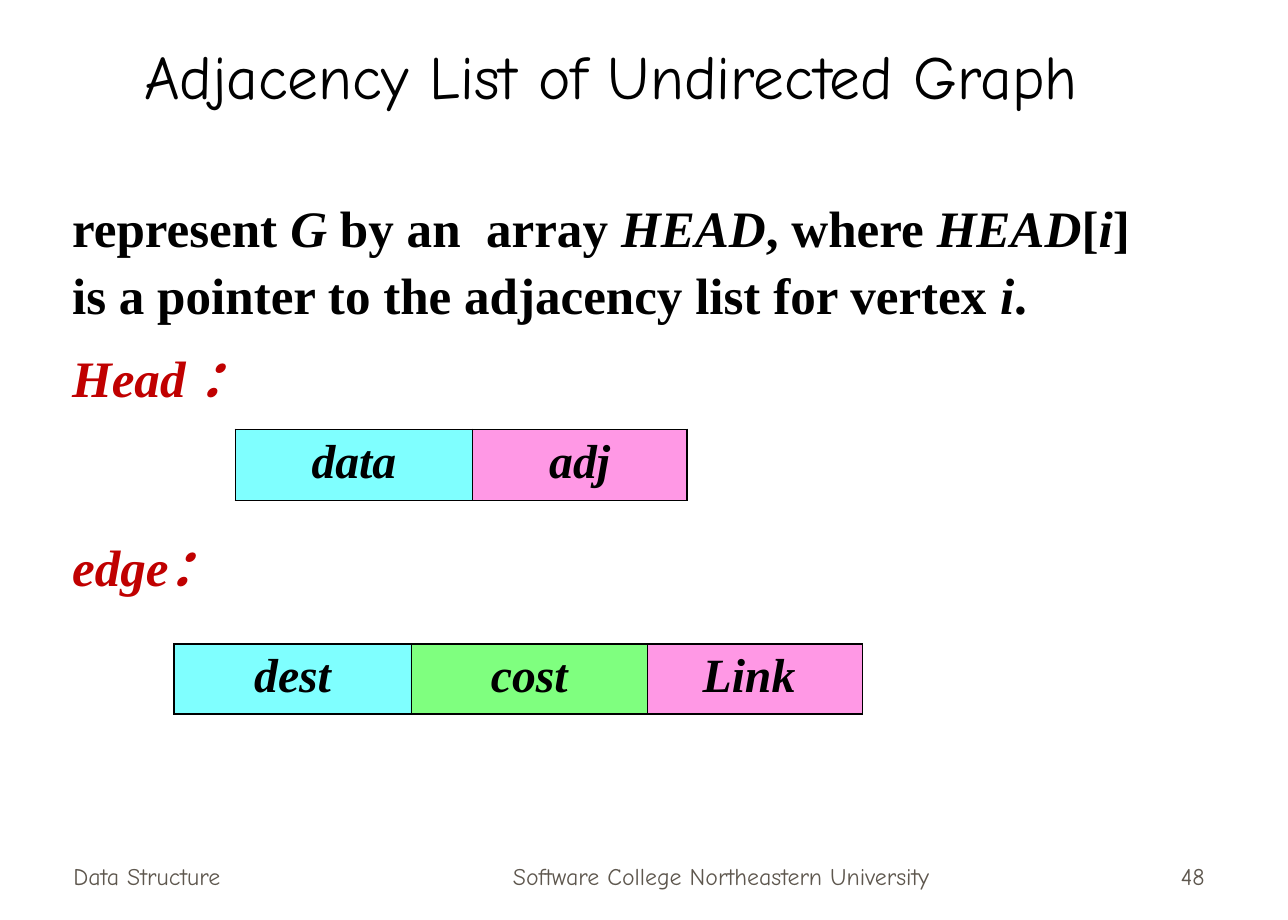
import pptx
import pptx.dml.color
import pptx.enum.text
import pptx.oxml
import pptx.oxml.ns
import pptx.util

ALIGN = pptx.enum.text.PP_ALIGN
ANCHOR = pptx.enum.text.MSO_ANCHOR
WIDTH, HEIGHT = pptx.util.Inches(10.5), pptx.util.Inches(7.5)
COLUMNS, ROWS = 42, 30
HAND, SERIF = "Comic Neue", "Times New Roman"
COLORS = {
    "black": "000000",
    "label": "C00000",
    "footer": "5E574E",
    "cyan": "00FFFF",
    "green": "00FF00",
    "pink": "FF33CC",
}
KEY_WIDTH, POINTER_WIDTH = 7.72, 7
OUTER_LINE, INNER_LINE = 1.08, 0.45


def across(columns):
    return round(WIDTH * columns / COLUMNS)


def down(rows):
    return round(HEIGHT * rows / ROWS)


def place(shape, left, top, width, height):
    shape.left, shape.top = across(left), down(top)
    shape.width, shape.height = across(width), down(height)


def format_run(run, name, size, color, bold=False, italic=False):
    run.font.name = name
    run.font.size = pptx.util.Pt(size)
    run.font.bold = bold
    run.font.italic = italic
    run.font.color.rgb = pptx.dml.color.RGBColor.from_string(COLORS[color])


def add_title(slide, text):
    title = slide.shapes.title
    place(title, 1.16, 1.12, 37.52, 2.68)
    frame = title.text_frame
    frame.text = text
    frame.auto_size = pptx.enum.text.MSO_AUTO_SIZE.NONE
    frame.vertical_anchor = ANCHOR.MIDDLE
    frame.paragraphs[0].alignment = ALIGN.CENTER
    format_run(frame.paragraphs[0].runs[0], HAND, 36, "black")


def add_text_box(slide, left, top, width, height, anchor):
    box = slide.shapes.add_textbox(across(left), down(top), across(width), down(height))
    box.text_frame.word_wrap = True
    box.text_frame.vertical_anchor = anchor
    return box.text_frame


def add_footer(slide, text, left, width, alignment):
    frame = add_text_box(slide, left, 27.24, width, 2, ANCHOR.BOTTOM)
    frame.text = text
    frame.paragraphs[0].alignment = alignment
    format_run(frame.paragraphs[0].runs[0], HAND, 14, "footer")


def fill_statement(paragraph, pieces):
    paragraph.line_spacing = 1.1
    for index, piece in enumerate(pieces):
        run = paragraph.add_run()
        run.text = piece
        format_run(run, SERIF, 30, "black", True, index % 2 == 1)


def fill_label(paragraph, text, line_spacing, space_before):
    paragraph.text = text
    paragraph.line_spacing = line_spacing
    paragraph.space_before = pptx.util.Pt(space_before)
    format_run(paragraph.runs[0], SERIF, 30, "label", True, True)


def add_body(slide):
    frame = add_text_box(slide, 1.96, 6, 40, 14, ANCHOR.TOP)
    fill_statement(frame.paragraphs[0], [
        "represent ", "G ", "by an  array ", "HEAD", ", where ", "HEAD", "[", "i", "]"])
    fill_statement(frame.add_paragraph(), [
        "is a pointer to the adjacency list for vertex ", "i", "."])
    fill_label(frame.add_paragraph(), "Head ：", 1.25, 3.7)
    fill_label(frame.add_paragraph(), "edge：", 1.6, 53)


def style_cell(cell, color, left_line, right_line):
    cell.fill.solid()
    cell.fill.fore_color.rgb = pptx.dml.color.RGBColor.from_string(COLORS[color])
    properties = cell._tc.get_or_add_tcPr()
    namespace = pptx.oxml.ns.nsdecls("a")
    swatch = properties.find(".//" + pptx.oxml.ns.qn("a:srgbClr"))
    swatch.append(pptx.oxml.parse_xml(f'<a:alpha {namespace} val="50000"/>'))
    sides = {"L": left_line, "R": right_line, "T": OUTER_LINE, "B": OUTER_LINE}
    for index, (side, points) in enumerate(sides.items()):
        properties.insert(index, pptx.oxml.parse_xml(
            f'<a:ln{side} {namespace} w="{pptx.util.Pt(points)}"><a:solidFill>'
            f'<a:srgbClr val="{COLORS["black"]}"/></a:solidFill></a:ln{side}>'))


def add_record(slide, left, top, height, fields):
    total = sum(width for _, _, width in fields)
    table = slide.shapes.add_table(
        1, len(fields), across(left), down(top), across(total), down(height)).table
    table.first_row = False
    table.horz_banding = False
    last = len(fields) - 1
    for index, (text, color, width) in enumerate(fields):
        table.columns[index].width = across(width)
        cell = table.cell(0, index)
        cell.text_frame.text = text
        paragraph = cell.text_frame.paragraphs[0]
        paragraph.alignment = ALIGN.CENTER
        format_run(paragraph.runs[0], SERIF, 28, "black", True, True)
        style_cell(cell, color,
                   OUTER_LINE if index == 0 else INNER_LINE,
                   OUTER_LINE if index == last else INNER_LINE)


def main():
    presentation = pptx.Presentation()
    presentation.slide_width, presentation.slide_height = WIDTH, HEIGHT
    slide = presentation.slides.add_slide(presentation.slide_layouts[5])
    add_title(slide, "Adjacency List of Undirected Graph")
    add_body(slide)
    add_record(slide, 7.68, 14, 2.32, [
        ("data", "cyan", KEY_WIDTH), ("adj", "pink", POINTER_WIDTH)])
    add_record(slide, 5.68, 21, 2.28, [
        ("dest", "cyan", KEY_WIDTH), ("cost", "green", KEY_WIDTH),
        ("Link ", "pink", POINTER_WIDTH)])
    add_footer(slide, "Data Structure", 2, 8.76, ALIGN.LEFT)
    add_footer(slide, "Software College Northeastern University", 14.36, 18.32, ALIGN.CENTER)
    add_footer(slide, "48", 30.92, 8.76, ALIGN.RIGHT)
    presentation.save("out.pptx")


if __name__ == "__main__":
    main()
